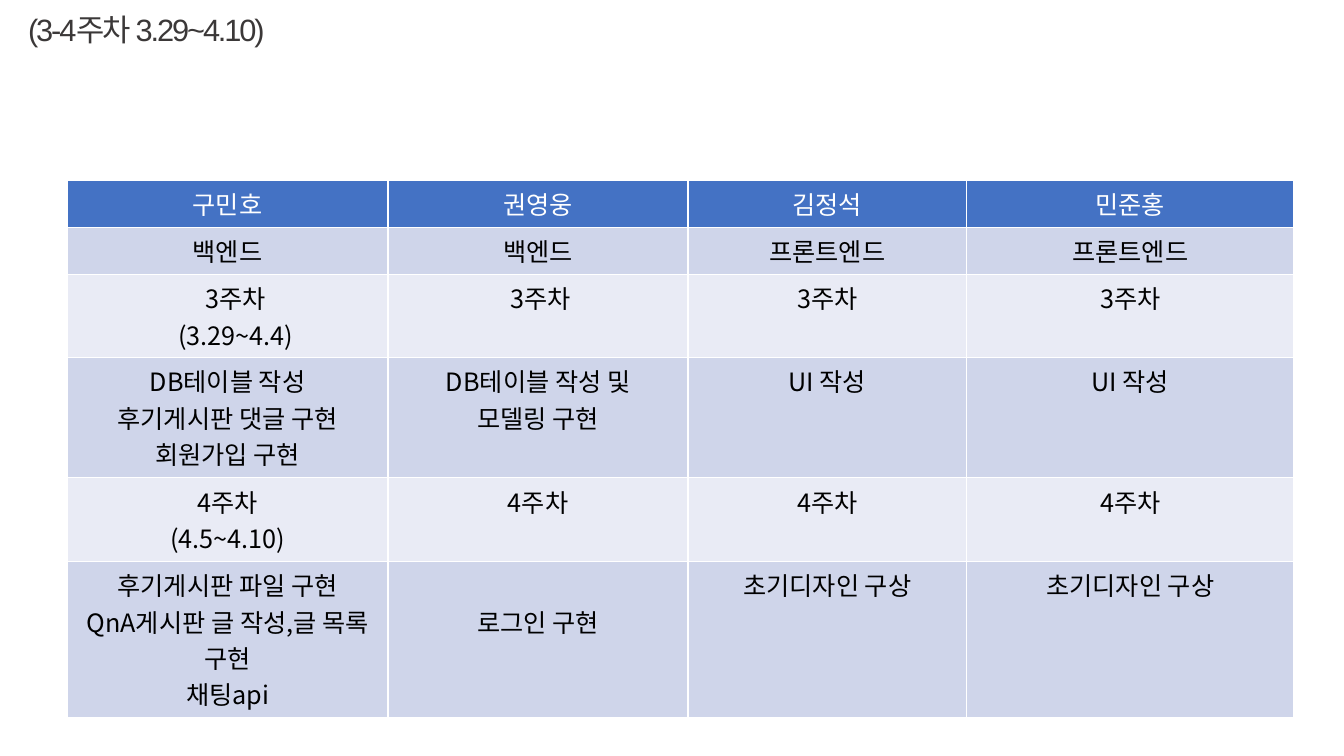
from dataclasses import dataclass

from lxml.etree import SubElement
from pptx import Presentation
from pptx.dml.color import RGBColor
from pptx.enum.text import MSO_AUTO_SIZE, PP_ALIGN
from pptx.oxml.ns import qn
from pptx.util import Cm, Pt

TABLE_FONT = "Noto Sans CJK KR"
COLUMN_WIDTHS = [8.09, 7.56, 7.02, 8.25]
MARGIN_X, MARGIN_Y = 0.25, 0.13


@dataclass
class Row:
    height: float
    fill: str
    texts: list[str]
    color: str = "000000"


@dataclass
class Inset:
    """Extra space, in cm, at the left and top of a cell."""
    left: float = 0
    top: float = 0


ROWS = [
    Row(1.17, "4472C4", ["구민호", "권영웅", "김정석", "민준홍"], "FFFFFF"),
    Row(1.17, "CFD5EA", ["백엔드", "백엔드", "프론트엔드", "프론트엔드"]),
    Row(2.1, "E9EBF5", ["3주차\n(3.29~4.4)", "3주차", "3주차", "3주차"]),
    Row(3.03, "CFD5EA", ["DB테이블 작성\n후기게시판 댓글 구현\n회원가입 구현",
                         "DB테이블 작성 및\n모델링 구현", "UI 작성", "UI 작성"]),
    Row(2.1, "E9EBF5", ["4주차\n(4.5~4.10)", "4주차", "4주차", "4주차"]),
    Row(3.95, "CFD5EA", ["후기게시판 파일 구현\nQnA게시판 글 작성,글 목록 구현\n채팅api",
                         "로그인 구현", "초기디자인 구상", "초기디자인 구상"]),
]
INSETS = {(2, 0): Inset(left=0.42), (2, 1): Inset(left=0.14), (5, 1): Inset(top=0.93)}


def rgb(color: str) -> RGBColor:
    return RGBColor.from_string(color)


def add_borders(cell, color: str = "FFFFFF", width: float = 1) -> None:
    tc_pr = cell._tc.get_or_add_tcPr()
    for side in ("a:lnL", "a:lnR", "a:lnT", "a:lnB"):
        ln = SubElement(tc_pr, qn(side), w=str(Pt(width)))
        SubElement(SubElement(ln, qn("a:solidFill")), qn("a:srgbClr"), val=color)


def fill_cell(cell, text: str, row: Row, inset: Inset) -> None:
    add_borders(cell)
    cell.fill.solid()
    cell.fill.fore_color.rgb = rgb(row.fill)
    cell.margin_left = Cm(MARGIN_X + inset.left)
    cell.margin_right = Cm(MARGIN_X)
    cell.margin_top = Cm(MARGIN_Y + inset.top)
    cell.margin_bottom = Cm(MARGIN_Y)
    cell.text_frame.text = text
    for p in cell.text_frame.paragraphs:
        p.alignment = PP_ALIGN.CENTER
        p.font.size = Pt(18)
        p.font.bold = False
        p.font.name = TABLE_FONT
        p.font.color.rgb = rgb(row.color)
        for r in p.runs:
            SubElement(r._r.get_or_add_rPr(), qn("a:ea"), typeface=TABLE_FONT)


def add_schedule(s) -> None:
    table = s.shapes.add_table(
        len(ROWS), len(COLUMN_WIDTHS), Cm(1.69), Cm(4.55),
        Cm(sum(COLUMN_WIDTHS)), Cm(sum(row.height for row in ROWS))).table
    table.first_row = table.horz_banding = False
    for column, width in zip(table.columns, COLUMN_WIDTHS):
        column.width = Cm(width)
    for i, row in enumerate(ROWS):
        table.rows[i].height = Cm(row.height)
        for j, text in enumerate(row.texts):
            fill_cell(table.cell(i, j), text, row, INSETS.get((i, j), Inset()))


def add_title(s, text: str) -> None:
    tf = s.shapes.add_textbox(Cm(0.46), Cm(0.15), Cm(6.83), Cm(1.19)).text_frame
    tf.word_wrap = False
    tf.auto_size = MSO_AUTO_SIZE.SHAPE_TO_FIT_TEXT
    p = tf.paragraphs[0]
    r = p.add_run()
    r.text = text
    p.font.size = Pt(22)
    p.font.name = "Arial"
    p.font.color.rgb = rgb("3B3838")
    r._r.get_or_add_rPr().set("spc", "-150")


def main() -> None:
    prs = Presentation()
    prs.slide_width, prs.slide_height = Cm(33.87), Cm(19.05)
    s = prs.slides.add_slide(prs.slide_layouts[6])
    add_schedule(s)
    add_title(s, "(3-4주차 3.29~4.10)")
    prs.save("out.pptx")


if __name__ == "__main__":
    main()
